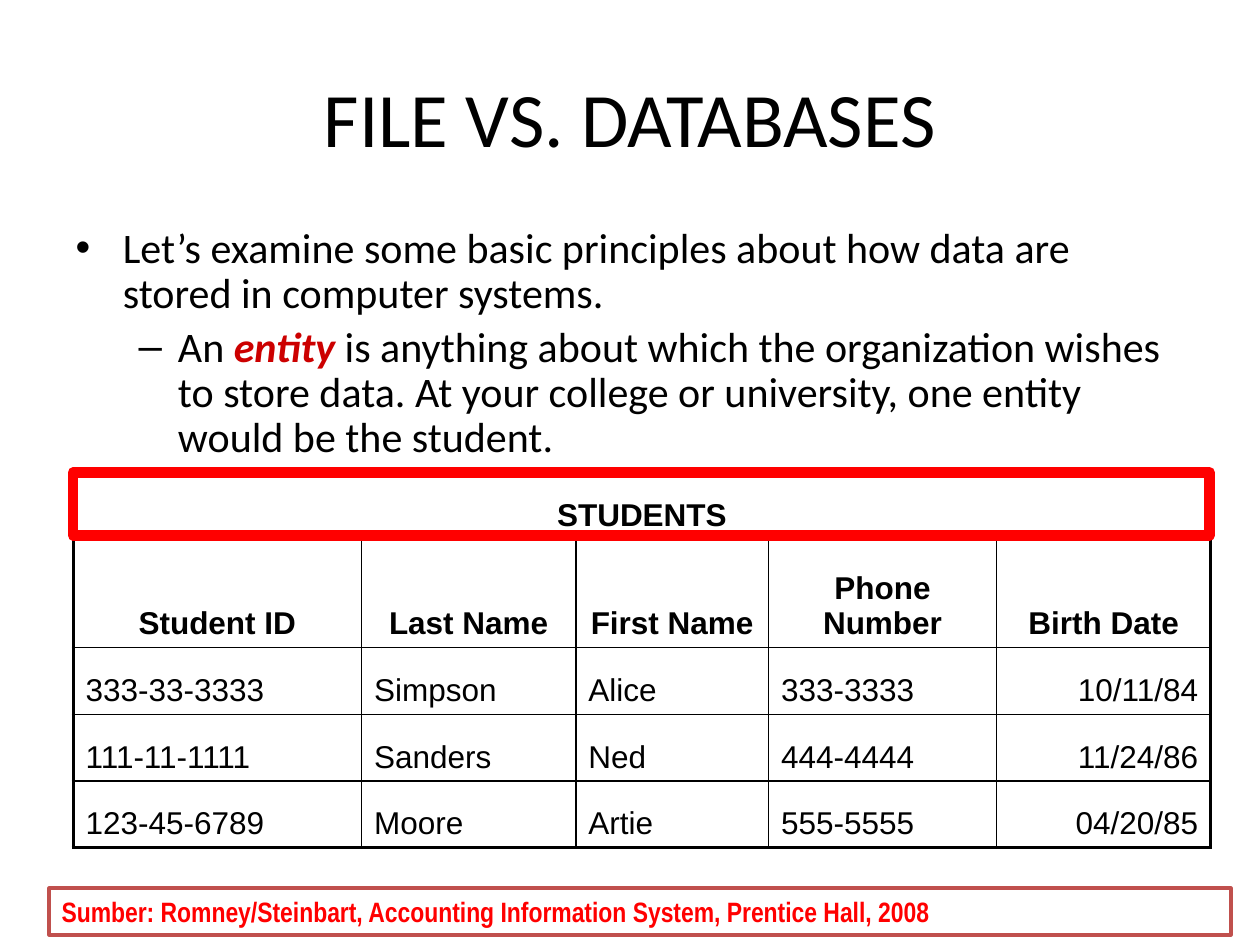
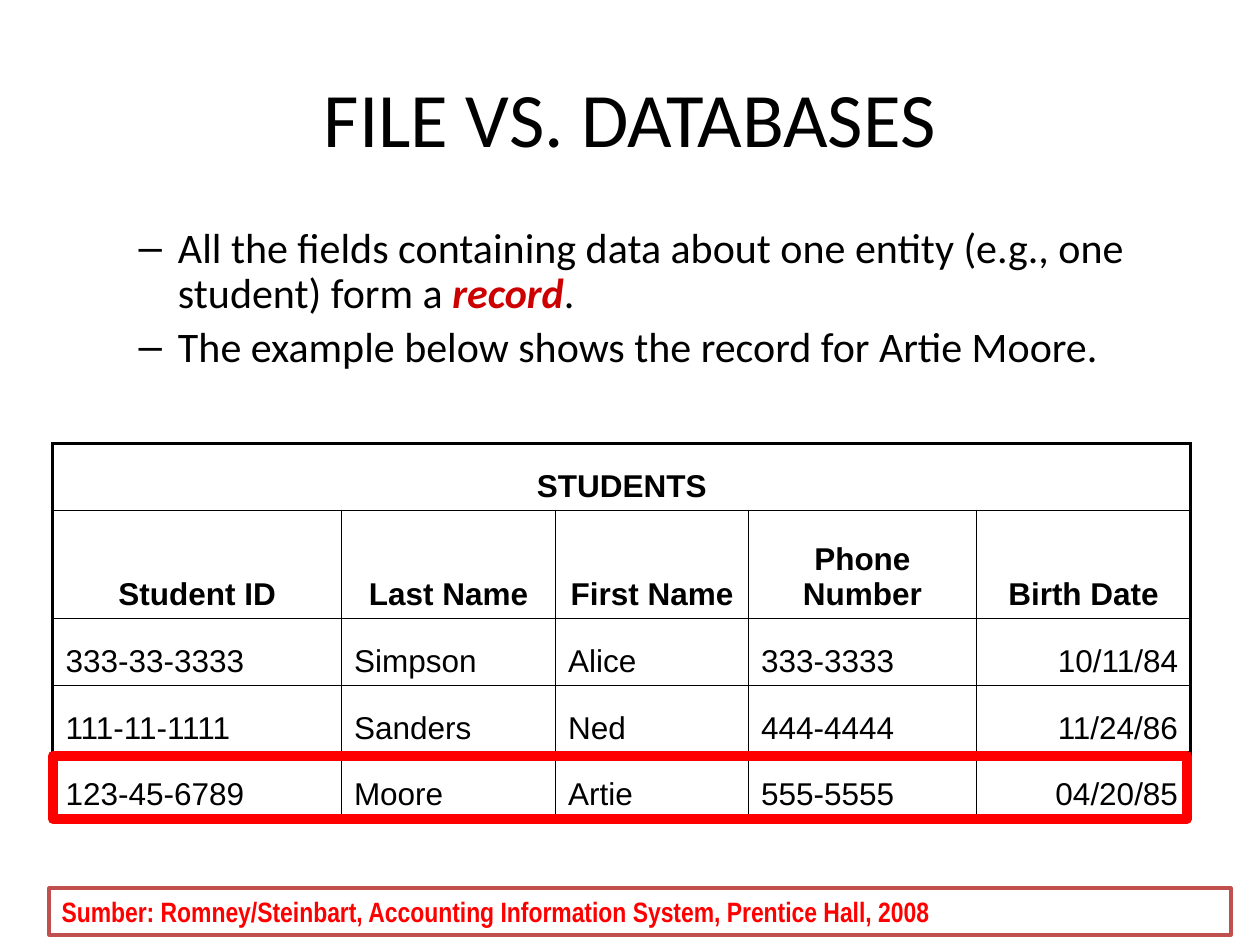
from lxml.etree import SubElement
from pptx import Presentation
from pptx.dml.color import RGBColor
from pptx.enum.shapes import MSO_SHAPE
from pptx.enum.text import MSO_ANCHOR, MSO_AUTO_SIZE, PP_ALIGN
from pptx.oxml.ns import qn
from pptx.util import Emu, Pt

SCALE = 9144
COLORS = {
    "text": "000000",
    "paper": "FFFFFF",
    "term": "CC0000",
    "highlight": "FF0000",
    "source_line": "C0504D",
}
TITLE = "FILE VS. DATABASES"
SOURCE = "Sumber: Romney/Steinbart, Accounting Information System, Prentice Hall, 2008"
STUDENTS = [
    ["STUDENTS", "", "", "", ""],
    ["Student ID", "Last Name", "First Name", "Phone Number", "Birth Date"],
    ["333-33-3333", "Simpson", "Alice", "333-3333", "10/11/84"],
    ["111-11-1111", "Sanders", "Ned", "444-4444", "11/24/86"],
    ["123-45-6789", "Moore", "Artie", "555-5555", "04/20/85"],
]
COLUMN_WIDTHS = [229, 170, 153, 181, 170]
ROW_HEIGHTS = [53, 86, 53, 53, 53]


def px(*lengths):
    return [Emu(length * SCALE) for length in lengths]


def color(name):
    return RGBColor.from_string(COLORS[name])


def write(paragraph, text, size=18, font="Calibri", fill="text", bold=False,
          align=PP_ALIGN.LEFT, line_spacing=None, space_before=0):
    paragraph.alignment = align
    paragraph.line_spacing = line_spacing
    paragraph.space_before = Pt(space_before)
    for index, part in enumerate(text.split("*")):
        is_term = index % 2 == 1
        run = paragraph.add_run()
        run.text = part
        run.font.name = font
        run.font.size = Pt(size)
        run.font.bold = bold or is_term
        run.font.italic = is_term
        run.font.color.rgb = color("term" if is_term else fill)


class Deck:
    def __init__(self):
        self.presentation = Presentation()
        self.presentation.slide_width, self.presentation.slide_height = px(1000, 750)
        self.slide = None

    def add_slide(self):
        layout = self.presentation.slide_layouts[1]
        self.slide = self.presentation.slides.add_slide(layout)

    def place(self, placeholder, box):
        placeholder.left, placeholder.top, placeholder.width, placeholder.height = px(*box)
        placeholder.text_frame.auto_size = MSO_AUTO_SIZE.NONE
        return placeholder.text_frame

    def title(self, text):
        frame = self.place(self.slide.shapes.title, (50, 30, 900, 125))
        frame.vertical_anchor = MSO_ANCHOR.MIDDLE
        write(frame.paragraphs[0], text, size=44, align=PP_ALIGN.CENTER)

    def bullets(self, items):
        frame = self.place(self.slide.placeholders[1], (50, 175, 900, 190))
        for index, (level, text) in enumerate(items):
            paragraph = frame.add_paragraph() if index else frame.paragraphs[0]
            paragraph.level = level
            write(paragraph, text, size=24, line_spacing=0.9,
                  space_before=4.8 if index else 0)

    def borders(self, cell, widths):
        properties = cell._tc.get_or_add_tcPr()
        for side, width in widths.items():
            line = SubElement(properties, qn(f"a:ln{side}"), w=str(Pt(width)))
            fill = SubElement(line, qn("a:solidFill"))
            SubElement(fill, qn("a:srgbClr"), val=COLORS["text"])

    def table(self, left, top, rows):
        last_row, last_column = len(rows) - 1, len(rows[0]) - 1
        box = px(left, top, sum(COLUMN_WIDTHS), sum(ROW_HEIGHTS))
        table = self.slide.shapes.add_table(len(rows), len(rows[0]), *box).table
        table.first_row = table.horz_banding = False
        for column, width in zip(table.columns, px(*COLUMN_WIDTHS)):
            column.width = width
        for row, height in zip(table.rows, px(*ROW_HEIGHTS)):
            row.height = height
        table.cell(0, 0).merge(table.cell(0, last_column))
        for row, values in enumerate(rows):
            is_header = row < 2
            for column, value in enumerate(values):
                cell = table.cell(row, column)
                cell.vertical_anchor = MSO_ANCHOR.BOTTOM
                self.borders(cell, {
                    "L": 2 if column == 0 else 1,
                    "R": 2 if column == last_column or row == 0 else 1,
                    "T": 2 if row == 0 else 1,
                    "B": 2 if row == last_row else 1,
                })
                cell.fill.background()
                if not value:
                    continue
                if is_header:
                    align = PP_ALIGN.CENTER
                else:
                    align = PP_ALIGN.RIGHT if column == last_column else PP_ALIGN.LEFT
                write(cell.text_frame.paragraphs[0], value, font="Arial",
                      bold=is_header, align=align)

    def rectangle(self, box, line, width, fill=None):
        shape = self.slide.shapes.add_shape(MSO_SHAPE.RECTANGLE, *px(*box))
        shape.shadow.inherit = False
        shape.line.color.rgb = color(line)
        shape.line.width = Pt(width)
        if fill:
            shape.fill.solid()
            shape.fill.fore_color.rgb = color(fill)
        else:
            shape.fill.background()
        return shape

    def source(self, text):
        shape = self.rectangle((39, 705, 938, 37), "source_line", 2, fill="paper")
        frame = shape.text_frame
        frame.word_wrap = True
        frame.auto_size = MSO_AUTO_SIZE.SHAPE_TO_FIT_TEXT
        frame.vertical_anchor = MSO_ANCHOR.TOP
        write(frame.paragraphs[0], text, size=16, font="Arial Narrow",
              fill="highlight", bold=True)

    def students_slide(self, items, table_corner, highlight_box):
        self.add_slide()
        self.title(TITLE)
        self.bullets(items)
        self.table(*table_corner, STUDENTS)
        self.rectangle(highlight_box, "highlight", 6)
        self.source(SOURCE)


def main():
    deck = Deck()
    deck.students_slide(
        [
            (0, "Let’s examine some basic principles about how data are stored "
                "in computer systems."),
            (1, "An *entity* is anything about which the organization wishes to "
                "store data. At your college or university, one entity would be "
                "the student."),
        ],
        table_corner=(58, 375),
        highlight_box=(58, 375, 902, 50),
    )
    deck.students_slide(
        [
            (1, "All the fields containing data about one entity (e.g., one "
                "student) form a *record*."),
            (1, "The example below shows the record for Artie Moore."),
        ],
        table_corner=(42, 352),
        highlight_box=(42, 600, 900, 50),
    )
    deck.presentation.save("out.pptx")


if __name__ == "__main__":
    main()
